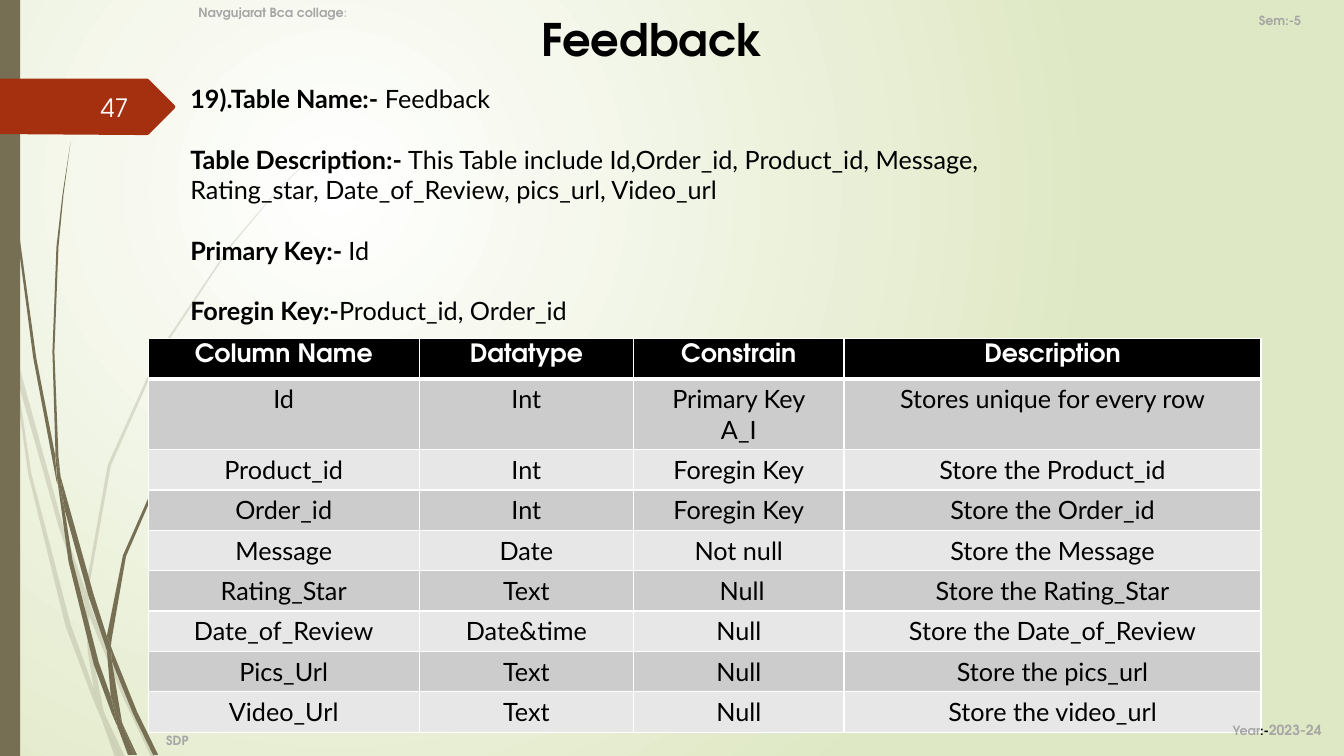
from lxml.etree import SubElement
from pptx import Presentation
from pptx.dml.color import RGBColor
from pptx.enum.shapes import MSO_SHAPE
from pptx.enum.text import MSO_ANCHOR, PP_ALIGN
from pptx.oxml.ns import qn
from pptx.util import Pt

HEADING, BODY = "TeX Gyre Adventor", "Lato"
OLIVE, RUST, GREY, BLACK, WHITE = "766F54", "A53010", "A6A6A6", "000000", "FFFFFF"
UNIT = 0.72  # points per step of the outlines below

PALE_STEMS = [
    [(11, 350), (9, 322), (0, 282), (0, 299), (10, 344)],
    [(58, 522), (84, 599), (85, 586), (62, 520), (14, 345), (17, 376)],
    [(92, 607), (88, 596), (88, 610), (123, 694), (150, 751), (155, 751), (127, 692)],
    [(119, 751), (124, 751), (105, 711)],
    [(93, 683), (70, 619), (31, 469), (17, 376), (11, 350), (28, 470), (65, 621),
     (92, 693), (101, 714), (99, 707)],
    [(84, 599), (87, 646), (93, 683), (96, 692), (105, 711), (103, 706), (91, 646),
     (88, 610), (88, 608)],
    [(88, 584), (110, 462), (160, 349), (229, 245), (268, 198), (290, 175), (312, 154),
     (312, 153), (289, 175), (268, 197), (228, 244), (158, 348), (107, 461), (85, 584),
     (85, 586), (88, 596)],
    [(101, 714), (114, 751), (119, 751)],
    [(88, 608), (88, 610), (88, 596), (85, 586), (84, 599)],
    [(96, 692), (93, 683), (99, 707), (101, 714), (119, 751), (105, 711)],
]
DARK_STEMS = [
    [(7, 110), (17, 233), (33, 355), (56, 477), (57, 481), (55, 457), (55, 453), (36, 355),
     (19, 232), (8, 109), (5, 48), (4, 0), (3, 0), (4, 48)],
    [(88, 592), (106, 645), (106, 633), (106, 631), (93, 590), (60, 472), (64, 505)],
    [(113, 649), (110, 641), (111, 656), (132, 708), (152, 749), (157, 749), (136, 706)],
    [(110, 691), (98, 657), (72, 556), (64, 505), (57, 477), (68, 557), (93, 659),
     (111, 708), (117, 722), (116, 717)],
    [(60, 472), (58, 453), (54, 349), (58, 245), (63, 193), (70, 141), (62, 193),
     (56, 245), (52, 349), (55, 449)],
    [(133, 749), (136, 749), (122, 719)],
    [(57, 477), (64, 505), (60, 472), (55, 449), (55, 453)],
    [(111, 633), (125, 552), (158, 476), (205, 406), (231, 374), (245, 359), (261, 344),
     (260, 344), (245, 358), (231, 373), (204, 405), (156, 474), (122, 551), (106, 631),
     (110, 641)],
    [(117, 722), (127, 749), (131, 749)],
    [(106, 645), (110, 691), (116, 706), (122, 719), (121, 716), (111, 656), (109, 651)],
    [(106, 645), (109, 651), (111, 656), (110, 641), (106, 631), (106, 633)],
    [(116, 706), (110, 691), (116, 717), (117, 722), (130, 749), (133, 749), (122, 719)],
]
NUMBER_TAG = [(0, 0), (146, 0), (148, 1), (173, 26), (174, 28), (173, 30), (148, 55),
              (146, 56), (0, 55)]

DESCRIPTION = [
    ("19).Table Name:-", " Feedback"),
    ("Table Description:- ", "This Table include Id,Order_id, Product_id, Message, "
     "Rating_star, Date_of_Review, pics_url, Video_url"),
    ("Primary Key:- ", "Id"),
    ("Foregin Key:-", "Product_id, Order_id"),
]
COLUMN_WIDTHS = [193.5, 153.2, 150.3, 297.9]
ROWS = [
    ("Column Name", "Datatype", "Constrain", "Description"),
    ("Id", "Int", "Primary Key\nA_I", "Stores unique for every row"),
    ("Product_id", "Int", "Foregin Key", "Store the Product_id"),
    ("Order_id", "Int", "Foregin Key", "Store the Order_id"),
    ("Message", "Date", "Not null", "Store the Message"),
    ("Rating_Star", "Text", " Null", "Store the Rating_Star"),
    ("Date_of_Review", "Date&time", "Null", "Store the Date_of_Review"),
    ("Pics_Url", "Text", "Null", "Store the pics_url"),
    ("Video_Url", "Text", "Null", "Store the video_url"),
]


def color(value):
    return RGBColor.from_string(value)


def style_font(font, size, name, value, bold=False):
    font.size, font.name, font.bold = Pt(size), name, bold
    font.color.rgb = color(value)


def paint(shape, value, opacity=100):
    shape.shadow.inherit = False
    shape.fill.solid()
    shape.fill.fore_color.rgb = color(value)
    shape.line.fill.background()
    if opacity < 100:
        fill_color = shape.element.spPr.find(qn("a:solidFill"))[0]
        SubElement(fill_color, qn("a:alpha"), val=str(opacity * 1000))


def add_outline(slide, left, top, points, value, opacity=100):
    builder = slide.shapes.build_freeform(*points[0], scale=float(Pt(UNIT)))
    builder.add_line_segments(points[1:], close=True)
    paint(builder.convert_to_shape(Pt(left), Pt(top)), value, opacity)


def add_text(slide, left, top, width, height, paragraphs, size, name, gap=0,
             anchor=MSO_ANCHOR.TOP):
    """Each paragraph is a list of (text, colour, bold) runs."""
    box = slide.shapes.add_textbox(Pt(left), Pt(top), Pt(width), Pt(height))
    frame = box.text_frame
    frame.word_wrap, frame.vertical_anchor = True, anchor
    for index, runs in enumerate(paragraphs):
        paragraph = frame.add_paragraph() if index else frame.paragraphs[0]
        if index and gap:
            paragraph.space_before = Pt(gap)
        for text, value, bold in runs:
            run = paragraph.add_run()
            run.text = text
            style_font(run.font, size, name, value, bold)
    return box


def add_background(slide):
    fill = slide.background.fill
    fill.gradient()
    for stop, value in zip(fill.gradient_stops, (WHITE, "DFE8C4")):
        stop.color.rgb = color(value)
    # Circular glow centred in the upper left quarter
    gradient = slide.element.xpath(".//p:bg//a:gradFill")[0]
    gradient.remove(gradient.find(qn("a:lin")))
    circle = SubElement(gradient, qn("a:path"), path="circle")
    SubElement(circle, qn("a:fillToRect"), l="50000", t="50000", r="100000", b="100000")


def add_decoration(slide, left, top, height):
    for stems, opacity in ((PALE_STEMS, 20), (DARK_STEMS, 100)):
        for points in stems:
            add_outline(slide, left, top, points, OLIVE, opacity)
    bar = slide.shapes.add_shape(MSO_SHAPE.RECTANGLE, Pt(left), Pt(top), Pt(14.4), Pt(height))
    paint(bar, OLIVE)


def add_slide_number(slide, left, top, number):
    add_outline(slide, left, top, NUMBER_TAG, RUST)
    add_text(slide, left + 64.8, top + 6.5, 50, 29, [[(number, WHITE, False)]], 18, HEADING)


def set_borders(cell, top=1, bottom=1):
    properties = cell._tc.get_or_add_tcPr()
    for side, width in (("L", 1), ("R", 1), ("T", top), ("B", bottom)):
        line = SubElement(properties, qn("a:ln" + side), w=str(Pt(width)))
        SubElement(SubElement(line, qn("a:solidFill")), qn("a:srgbClr"), val=WHITE)


def add_columns_table(slide, left, top, width, height):
    frame = slide.shapes.add_table(len(ROWS), len(COLUMN_WIDTHS), Pt(left), Pt(top),
                                   Pt(width), Pt(height))
    table = frame.table
    for column, column_width in zip(table.columns, COLUMN_WIDTHS):
        column.width = Pt(column_width)
    for index, texts in enumerate(ROWS):
        header = index == 0
        table.rows[index].height = Pt(47.5 if index == 1 else 27.4)
        for cell, text in zip(table.rows[index].cells, texts):
            set_borders(cell, top=3 if index == 1 else 1, bottom=3 if header else 1)
            cell.fill.solid()
            cell.fill.fore_color.rgb = color(
                BLACK if header else "CCCCCC" if index % 2 else "E7E7E7")
            cell.text_frame.text = text
            for paragraph in cell.text_frame.paragraphs:
                paragraph.alignment = PP_ALIGN.CENTER
                for run in paragraph.runs:
                    style_font(run.font, 18, HEADING if header else BODY,
                               WHITE if header else BLACK, header)


def add_corner_labels(slide):
    middle = MSO_ANCHOR.MIDDLE
    labels = [
        (134.6, -5.8, 144, 28.8, [("Navgujarat Bca collage", GREY, True), (":", GREY, False)], middle),
        (892.1, 0, 67, 28.8, [("Sem:-5", GREY, True)], middle),
        (111.6, 519.8, 100, 18, [("SDP", GREY, True)], MSO_ANCHOR.TOP),
        (873.4, 506.9, 79.2, 28.8,
         [("Year", GREY, True), (":-", BLACK, True), ("2023-24", GREY, True)], middle),
    ]
    for left, top, width, height, runs, anchor in labels:
        box = add_text(slide, left, top, width, height, [runs], 9, HEADING, anchor=anchor)
    # The year itself is a little larger
    box.text_frame.paragraphs[0].runs[-1].font.size = Pt(10)


def main():
    presentation = Presentation()
    presentation.slide_width, presentation.slide_height = Pt(960), Pt(540)
    slide = presentation.slides.add_slide(presentation.slide_layouts[6])
    add_background(slide)
    add_decoration(slide, 0, 0, 540)
    add_text(slide, 379.4, 5, 480, 46, [[("Feedback", BLACK, True)]], 32, HEADING)
    add_columns_table(slide, 105.9, 241.9, sum(COLUMN_WIDTHS), 266.5)
    facts = [[(label, BLACK, True), (value, BLACK, False)] for label, value in DESCRIPTION]
    add_text(slide, 128.9, 56.2, 606.2, 184, facts, 18, BODY, gap=21.6)
    add_slide_number(slide, 0, 56.2, "47")
    add_corner_labels(slide)
    presentation.save("out.pptx")


if __name__ == "__main__":
    main()
